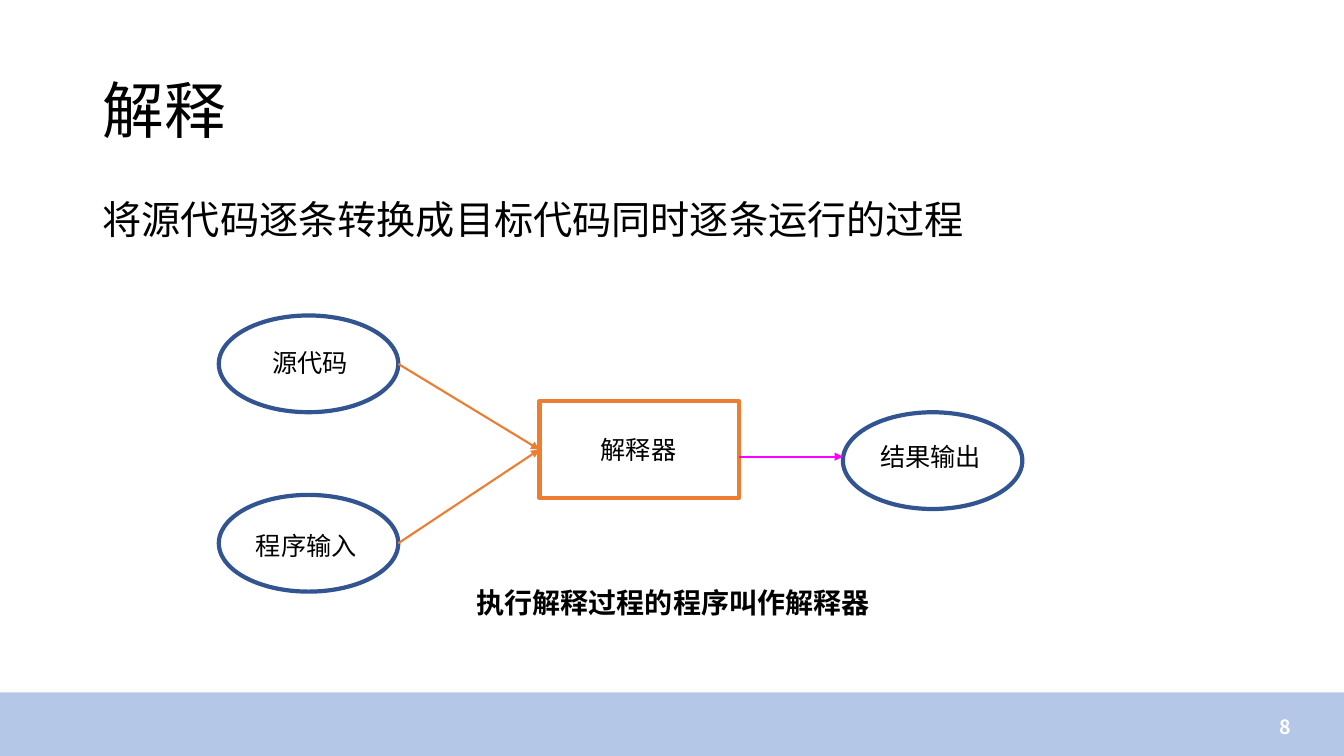
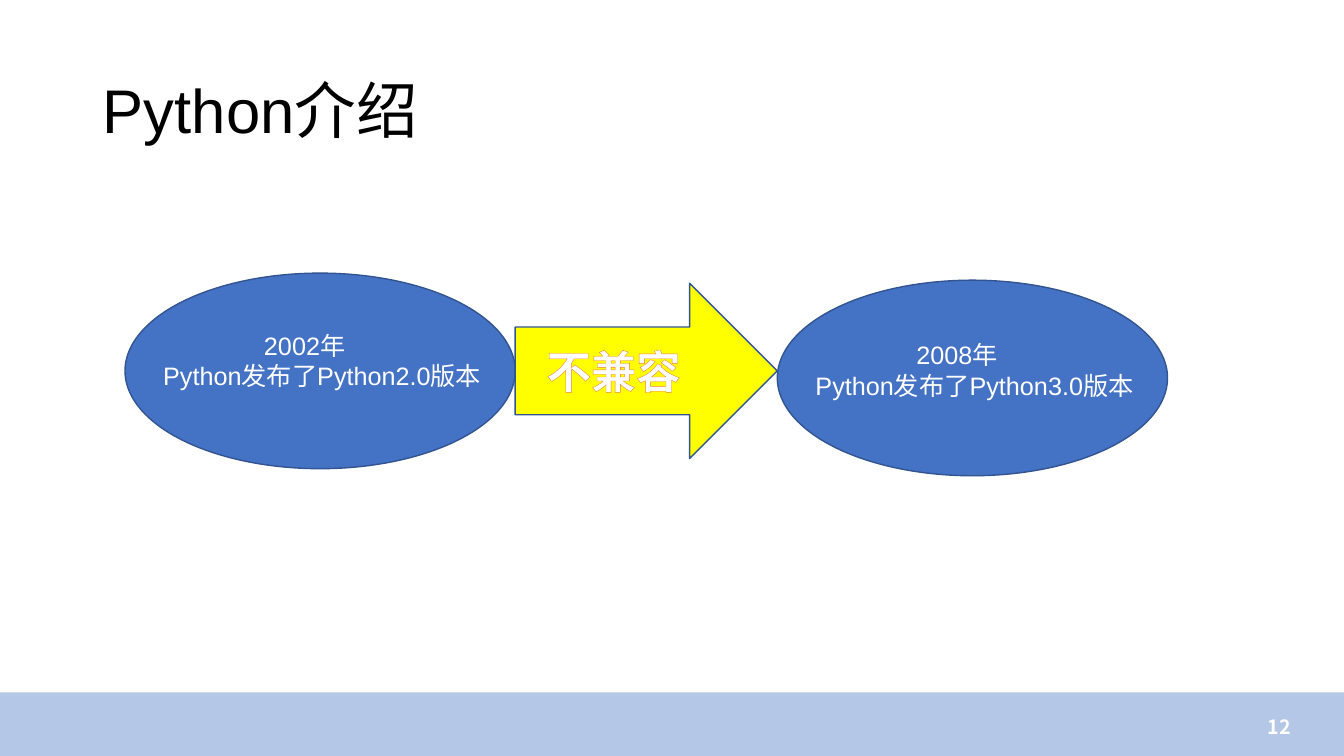
import pptx
import pptx.util
import pptx.dml.color
import pptx.enum.shapes
import pptx.enum.text
import pptx.oxml
import pptx.oxml.ns

Inches = pptx.util.Inches
Pt = pptx.util.Pt
SHAPE = pptx.enum.shapes.MSO_SHAPE
ALIGN = pptx.enum.text.PP_ALIGN
ANCHOR = pptx.enum.text.MSO_ANCHOR

# Content of the interpreter slide
INTERPRETER = {
    "title": "解释",
    "number": "8",
    "lead": "将源代码逐条转换成目标代码同时逐条运行的过程",
    "note": "执行解释过程的程序叫作解释器",
}
# node name: kind, left and top, label, label box
NODES = {
    "source": ("oval", (2.17, 3.13), "源代码", (2.6, 3.4, 0.96, 0.4)),
    "input": ("oval", (2.17, 4.91), "程序输入", (2.44, 5.21, 1.25, 0.4)),
    "interpreter": ("box", (5.35, 3.98), "解释器", (5.86, 4.26, 0.96, 0.4)),
    "output": ("oval", (8.36, 4.09), "结果输出", (8.63, 4.33, 1.21, 0.4)),
}
NODE_KINDS = {
    "oval": (SHAPE.OVAL, 1.78, "navy"),
    "box": (SHAPE.RECTANGLE, 1.98, "orange"),
}
NODE_HEIGHT = 0.96
OUTPUT_ARROW_Y = 4.53

# Content of the version slide
VERSIONS = {"title": "Python介绍", "number": "12", "arrow": "不兼容"}
# oval left and top, text left and top, lines
RELEASES = [
    ((1.24, 2.71), (1.52, 3.23), ("2002年", "Python发布了Python2.0版本")),
    ((7.71, 2.78), (7.99, 3.32), ("2008年", "Python发布了Python3.0版本")),
]
RELEASE_SIZE = (3.87, 1.94)
RELEASE_TEXT_SIZE = (3.36, 0.71)

# Shared style
COLORS = {
    "band": "B4C7E7", "white": "FFFFFF", "black": "000000", "navy": "325491",
    "orange": "ED7D31", "magenta": "FF00FF", "blue": "4472C4", "yellow": "FFFF00",
}
SLIDE_SIZE = (13.33, 7.5)
TITLE_BOX = (0.92, 0.4, 11.5, 1.45)
LEAD_BOX = (0.92, 1.94, 11.5, 0.64)
BAND_TOP = 6.87
NUMBER_BOX = (11.94, 7.01, 0.96, 0.4)


def color(name):
    return pptx.dml.color.RGBColor.from_string(COLORS[name])


def inches(values):
    return [Inches(value) for value in values]


def write(frame, lines, size, ink="black", wrap=True, bold=False, font="Arial",
          anchor=ANCHOR.TOP, **para_format):
    """Fill a text frame, one paragraph a line."""
    frame.word_wrap = wrap
    frame.vertical_anchor = anchor
    frame.auto_size = pptx.enum.text.MSO_AUTO_SIZE.NONE
    for index, line in enumerate(lines):
        para = frame.add_paragraph() if index else frame.paragraphs[0]
        for name, value in {"alignment": ALIGN.LEFT, **para_format}.items():
            setattr(para, name, value)
        span = para.add_run()
        span.text = line
        for name, value in {"name": font, "size": Pt(size), "bold": bold}.items():
            setattr(span.font, name, value)
        span.font.color.rgb = color(ink)


def add_text(page, box, lines, size, **style):
    area = page.shapes.add_textbox(*inches(box))
    write(area.text_frame, lines, size, **style)
    return area


def add_figure(page, kind, box, fill=None, line=None, width=1):
    figure = page.shapes.add_shape(kind, *inches(box))
    figure.shadow.inherit = False
    if fill:
        figure.fill.solid()
        figure.fill.fore_color.rgb = color(fill)
    else:
        figure.fill.background()
    if line:
        figure.line.color.rgb = color(line)
        figure.line.width = Pt(width)
    else:
        figure.line.fill.background()
    return figure


def add_arrow(page, start, end, ink, target=None):
    """Draw an arrow; target is a rectangle joined at its left side."""
    arrow = page.shapes.add_connector(
        pptx.enum.shapes.MSO_CONNECTOR.STRAIGHT, *inches(start + end))
    if target is not None:
        arrow.end_connect(target, 1)
    arrow.line.color.rgb = color(ink)
    arrow.line.width = Pt(1.5)
    head = pptx.oxml.parse_xml(
        f'<a:tailEnd {pptx.oxml.ns.nsdecls("a")} type="triangle"/>')
    arrow.line._get_or_add_ln().append(head)
    arrow._element.spPr.append(
        pptx.oxml.parse_xml(f'<a:effectLst {pptx.oxml.ns.nsdecls("a")}/>'))


def add_page(deck, content):
    """Add a slide with its band, title and number."""
    page = deck.slides.add_slide(deck.slide_layouts[5])
    add_figure(page, SHAPE.RECTANGLE,
               (0, BAND_TOP, SLIDE_SIZE[0], SLIDE_SIZE[1] - BAND_TOP), "band")
    title = page.shapes.title
    title.left, title.top, title.width, title.height = inches(TITLE_BOX)
    write(title.text_frame, [content["title"]], 44, anchor=ANCHOR.MIDDLE,
          line_spacing=0.9)
    add_text(page, NUMBER_BOX, [content["number"]], 14, ink="white", bold=True,
             font="Noto Sans CJK SC", anchor=ANCHOR.MIDDLE, alignment=ALIGN.RIGHT)
    return page


def build_interpreter(deck):
    page = add_page(deck, INTERPRETER)
    add_text(page, LEAD_BOX, [INTERPRETER["lead"]], 28, line_spacing=0.9,
             space_before=Pt(10))

    # Nodes and their labels
    figures, boxes = {}, {}
    for name, (kind, corner, label, label_box) in NODES.items():
        shape, width, ink = NODE_KINDS[kind]
        boxes[name] = corner + (width, NODE_HEIGHT)
        figures[name] = add_figure(page, shape, boxes[name], line=ink, width=3)
        add_text(page, label_box, [label], 18, wrap=False)

    # Arrows into and out of the interpreter
    left, top, width, height = boxes["interpreter"]
    for name in ("source", "input"):
        x, y, w, h = boxes[name]
        add_arrow(page, (x + w, y + h / 2), (left, top + height / 2), "orange",
                  figures["interpreter"])
    add_arrow(page, (left + width, OUTPUT_ARROW_Y),
              (boxes["output"][0], OUTPUT_ARROW_Y), "magenta")

    add_text(page, (4.63, 5.76, 4.13, 0.44), [INTERPRETER["note"]], 20,
             wrap=False, bold=True)


def build_versions(deck):
    page = add_page(deck, VERSIONS)
    for corner, text_corner, lines in RELEASES:
        add_figure(page, SHAPE.OVAL, corner + RELEASE_SIZE, "blue", "navy")
        area = add_text(page, text_corner + RELEASE_TEXT_SIZE, lines, 18, ink="white")
        # The year is indented by one inch
        year = area.text_frame.paragraphs[0]
        year._p.get_or_add_pPr().set("marL", str(Inches(1)))

    # Arrow fills the gap between the ovals
    start = RELEASES[0][0][0] + RELEASE_SIZE[0]
    end = RELEASES[1][0][0]
    add_figure(page, SHAPE.RIGHT_ARROW, (start, 2.81, end - start, 1.74),
               "yellow", "navy")
    label = add_text(page, (5.32, 3.36, 1.87, 0.64), [VERSIONS["arrow"]], 32,
                     ink="white", bold=True)
    outline = pptx.oxml.parse_xml(
        f'<a:ln {pptx.oxml.ns.nsdecls("a")} w="{Pt(0.52)}"><a:solidFill>'
        f'<a:srgbClr val="{COLORS["orange"]}"/></a:solidFill></a:ln>')
    span = label.text_frame.paragraphs[0].runs[0]
    span._r.get_or_add_rPr().insert(0, outline)


def main():
    deck = pptx.Presentation()
    deck.slide_width, deck.slide_height = inches(SLIDE_SIZE)
    build_interpreter(deck)
    build_versions(deck)
    deck.save("out.pptx")


if __name__ == "__main__":
    main()
